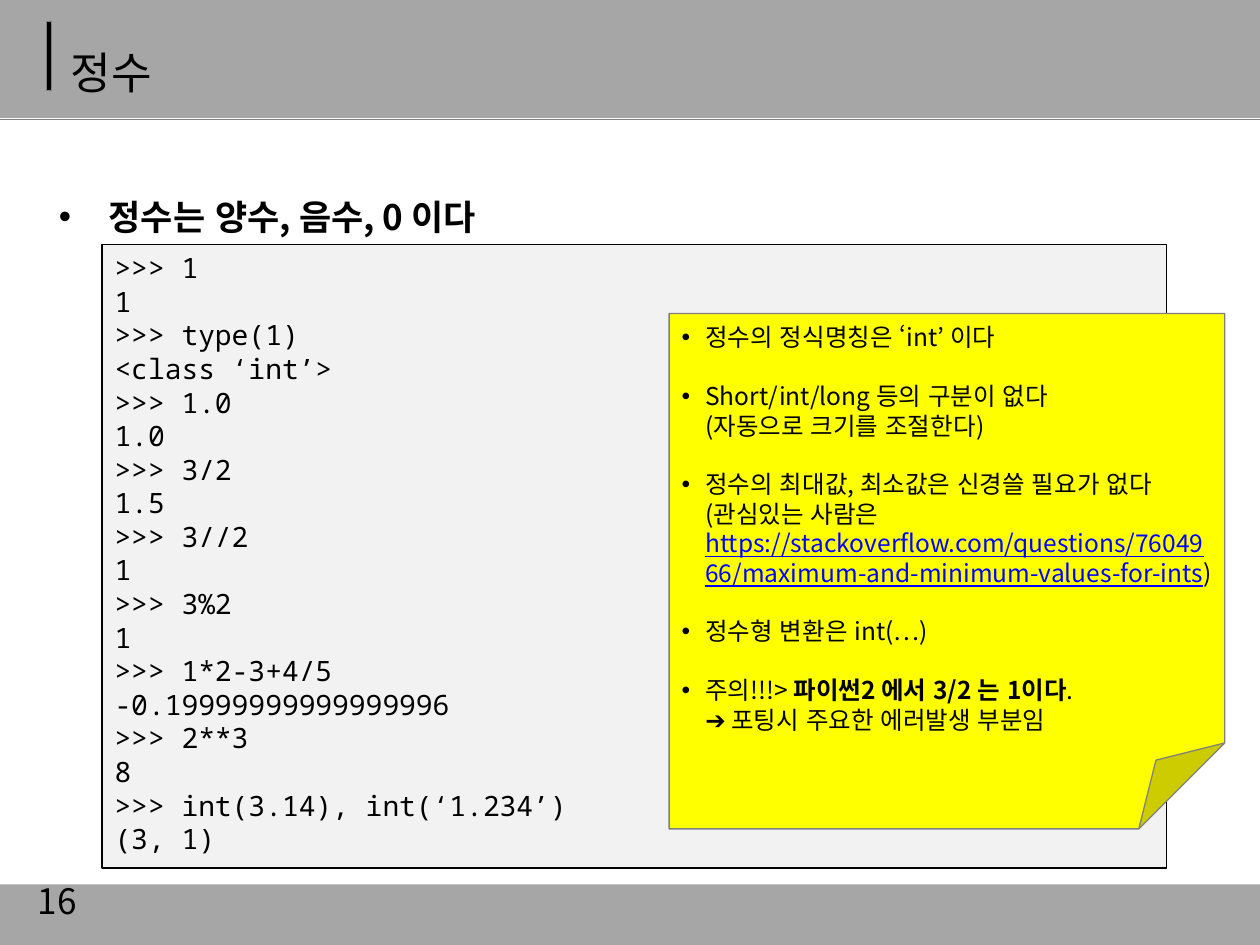
from dataclasses import dataclass
from typing import Optional

import pptx
import pptx.dml.color
import pptx.enum.lang
import pptx.enum.shapes
import pptx.enum.text
import pptx.oxml.ns
import pptx.util
from lxml import etree

Cm, Pt = pptx.util.Cm, pptx.util.Pt
qn = pptx.oxml.ns.qn
MSO_SHAPE = pptx.enum.shapes.MSO_SHAPE
ANCHOR = pptx.enum.text.MSO_ANCHOR
SANS, MONO = "Noto Sans CJK KR", "Noto Sans Mono"
BLACK, GRAY, BAND = "000000", "808080", "A6A6A6"


@dataclass
class Box:
    left: float
    top: float
    width: float
    height: float
    fill: Optional[str] = None
    line: Optional[str] = None
    kind: MSO_SHAPE = MSO_SHAPE.RECTANGLE


@dataclass
class Span:
    text: str
    color: str = BLACK
    bold: bool = False
    underline: bool = False


@dataclass
class Style:
    size: float
    font: str = SANS
    spacing: Optional[float] = None
    gap: float = 0
    indent: float = 0
    anchor: ANCHOR = ANCHOR.TOP


HEADER = Box(0, 0, 25.4, 2.38, BAND)
ACCENT = Box(0.94, 0.43, 0.1, 1.4, BLACK, GRAY)
FOOTER = Box(0, 17.83, 25.4, 1.22, BAND)
TITLE = Box(1.17, 0.36, 21.89, 1.57)
BODY = Box(0.94, 2.92, 23.57, 13.08)
CODE = Box(2.06, 4.93, 21.46, 12.57, "F2F2F2", BLACK)
NOTE = Box(13.49, 6.32, 11.2, 10.39, "FFFF00", GRAY, MSO_SHAPE.FOLDED_CORNER)
NUMBER = Box(0.51, 17.65, 5.92, 1.02)

CODE_LINES = """>>> 1
1
>>> type(1)
<class ‘int’>
>>> 1.0
1.0
>>> 3/2
1.5
>>> 3//2
1
>>> 3%2
1
>>> 1*2-3+4/5
-0.19999999999999996
>>> 2**3
8
>>> int(3.14), int(‘1.234’)
(3, 1)""".split("\n")

URL = "https://stackoverflow.com/questions/7604966/maximum-and-minimum-values-for-ints"
NOTES = [
    [Span("정수의 정식명칭은 ‘int’ 이다")],
    [Span("Short/int/long 등의 구분이 없다\n(자동으로 크기를 조절한다)")],
    [Span("정수의 최대값, 최소값은 신경쓸 필요가 없다 (관심있는 사람은 "),
     Span(URL, "0000FF", underline=True), Span(")")],
    [Span("정수형 변환은 int(…)")],
    [Span("주의!!!> "), Span("파이썬2 에서 3/2 는 1이다", bold=True),
     Span(".\n➔ 포팅시 주요한 에러발생 부분임")],
]


def rgb(value: str) -> pptx.dml.color.RGBColor:
    return pptx.dml.color.RGBColor.from_string(value)


def place(box: Box) -> list:
    return [Cm(v) for v in (box.left, box.top, box.width, box.height)]


def apply(target, formats: dict) -> None:
    for name, value in formats.items():
        setattr(target, name, value)


def add_box(s, box: Box):
    sp = s.shapes.add_shape(box.kind, *place(box))
    sp.shadow.inherit = False
    sp.fill.solid()
    sp.fill.fore_color.rgb = rgb(box.fill)
    if box.line:
        sp.line.color.rgb = rgb(box.line)
        sp.line.width = Pt(0.75)
    else:
        sp.line.fill.background()
    return sp


def add_bullet(p, indent: float) -> None:
    pPr = p._p.get_or_add_pPr()
    pPr.set("marL", str(Cm(indent)))
    pPr.set("indent", str(-Cm(indent)))
    etree.SubElement(pPr, qn("a:buFont")).set("typeface", "Arial")
    etree.SubElement(pPr, qn("a:buChar")).set("char", "•")


def add_run(p, text: str, span: Span, style: Style) -> None:
    r = p.add_run()
    r.text = text
    apply(r.font, {"name": style.font, "size": Pt(style.size), "bold": span.bold,
                   "underline": span.underline,
                   "language_id": pptx.enum.lang.MSO_LANGUAGE_ID.KOREAN})
    r.font.color.rgb = rgb(span.color)
    latin = r.font._element.find(qn("a:latin"))
    ea = etree.Element(qn("a:ea"))
    ea.set("typeface", style.font)
    latin.addnext(ea)


def write(sp, paragraphs: list, style: Style) -> None:
    tf = sp.text_frame
    apply(tf, {"word_wrap": True, "vertical_anchor": style.anchor,
               "auto_size": pptx.enum.text.MSO_AUTO_SIZE.NONE})
    for i, spans in enumerate(paragraphs):
        p = tf.add_paragraph() if i else tf.paragraphs[0]
        if style.indent:
            add_bullet(p, style.indent)
        apply(p, {"alignment": pptx.enum.text.PP_ALIGN.LEFT,
                  "space_before": Pt(style.gap if i else 0)})
        if style.spacing:
            p.line_spacing = Pt(style.spacing)
        for span in spans:
            for j, text in enumerate(span.text.split("\n")):
                if j:
                    p.add_line_break()
                add_run(p, text, span, style)


def add_rule(s, y: float) -> None:
    line = s.shapes.add_connector(pptx.enum.shapes.MSO_CONNECTOR.STRAIGHT,
                                  0, Cm(y), Cm(25.4), Cm(y))
    line.line.color.rgb = rgb(GRAY)
    line.line.width = Pt(0.75)
    etree.SubElement(line._element.spPr, qn("a:effectLst"))


def main() -> None:
    prs = pptx.Presentation()
    apply(prs, {"slide_width": Cm(25.4), "slide_height": Cm(19.05)})
    s = prs.slides.add_slide(prs.slide_layouts[5])

    add_box(s, HEADER)
    add_rule(s, 2.41)
    for box in (ACCENT, FOOTER):
        add_box(s, box)

    body = s.shapes.add_textbox(*place(BODY))
    write(body, [[Span("정수는 양수, 음수, 0 이다", bold=True)]],
          Style(20, spacing=49.5, indent=1))

    title = s.shapes.title
    apply(title, dict(zip(("left", "top", "width", "height"), place(TITLE))))
    write(title, [[Span("정수")]], Style(25.2, spacing=48, anchor=ANCHOR.MIDDLE))
    body._element.addnext(title._element)

    write(add_box(s, CODE), [[Span(text)] for text in CODE_LINES],
          Style(16, MONO, spacing=19.2))
    write(add_box(s, NOTE), NOTES,
          Style(14, spacing=16.8, gap=16.8, indent=0.48, anchor=ANCHOR.MIDDLE))
    write(s.shapes.add_textbox(*place(NUMBER)), [[Span("16")]],
          Style(20, anchor=ANCHOR.MIDDLE))

    prs.save("out.pptx")


if __name__ == "__main__":
    main()
